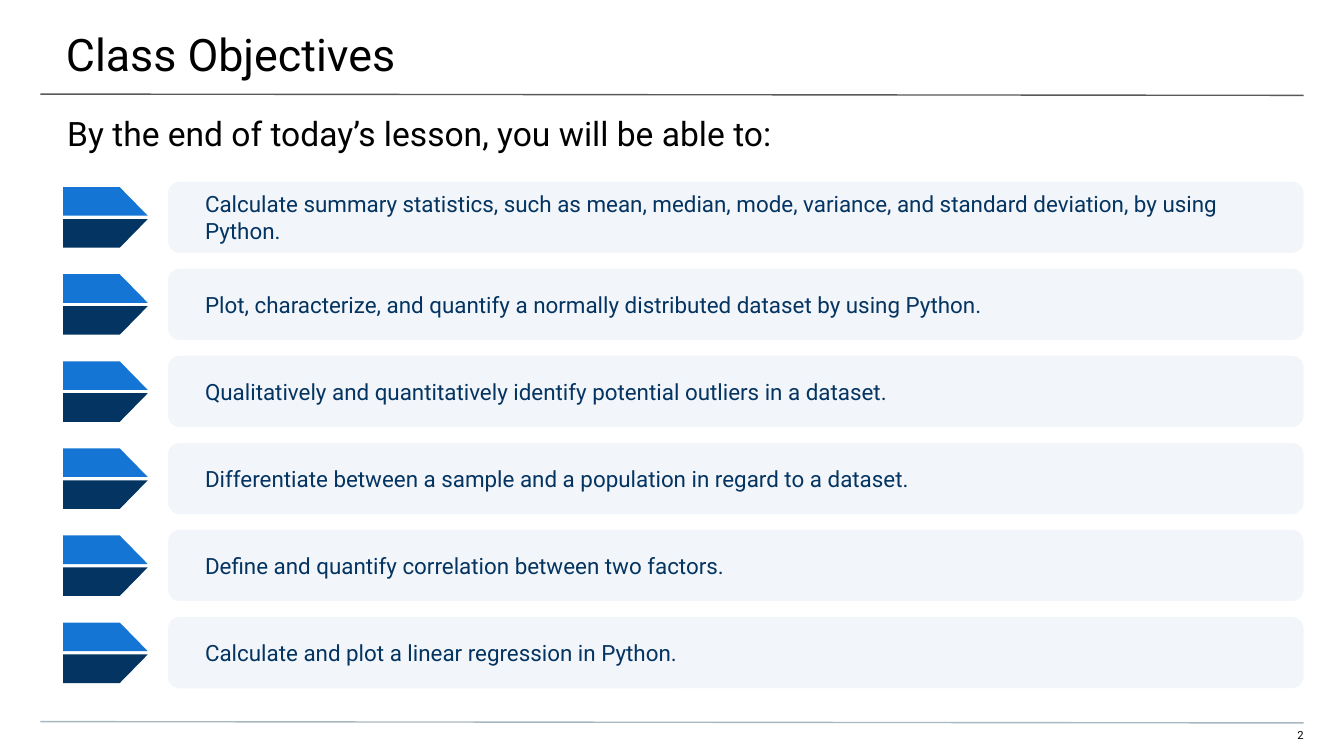
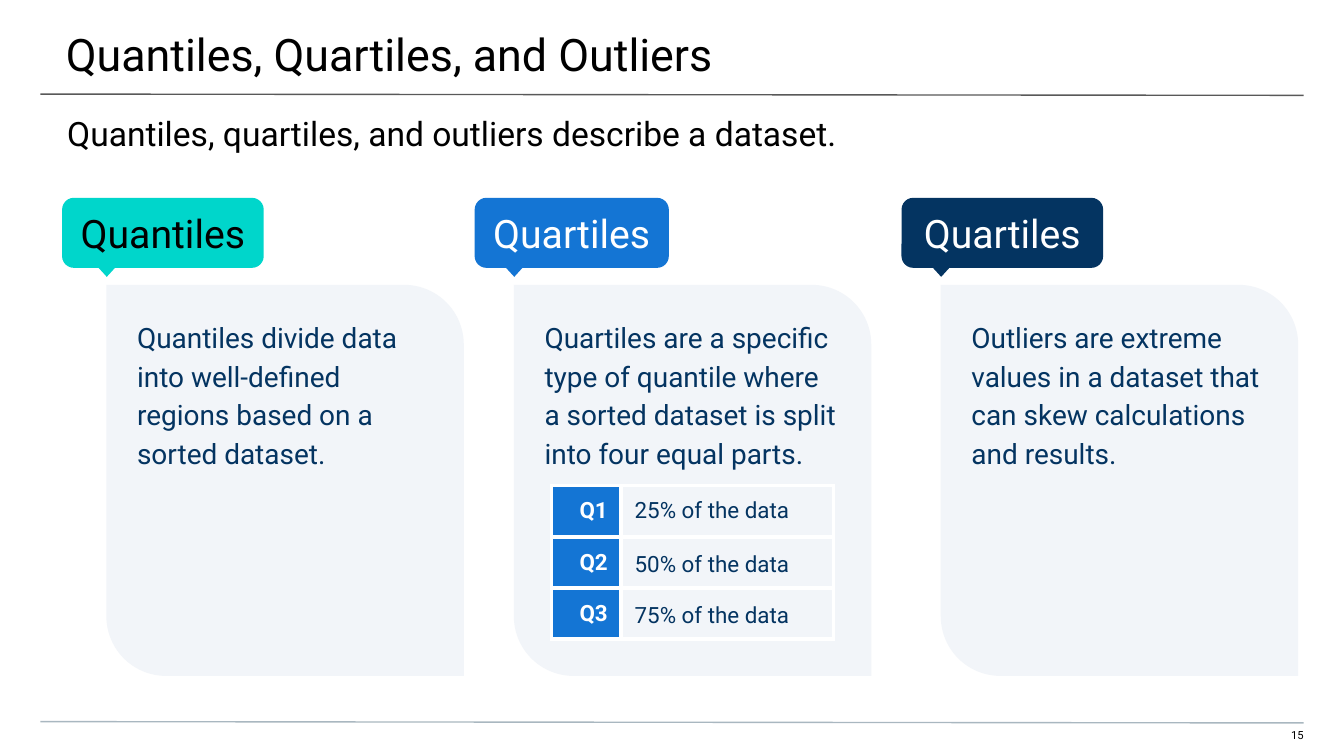
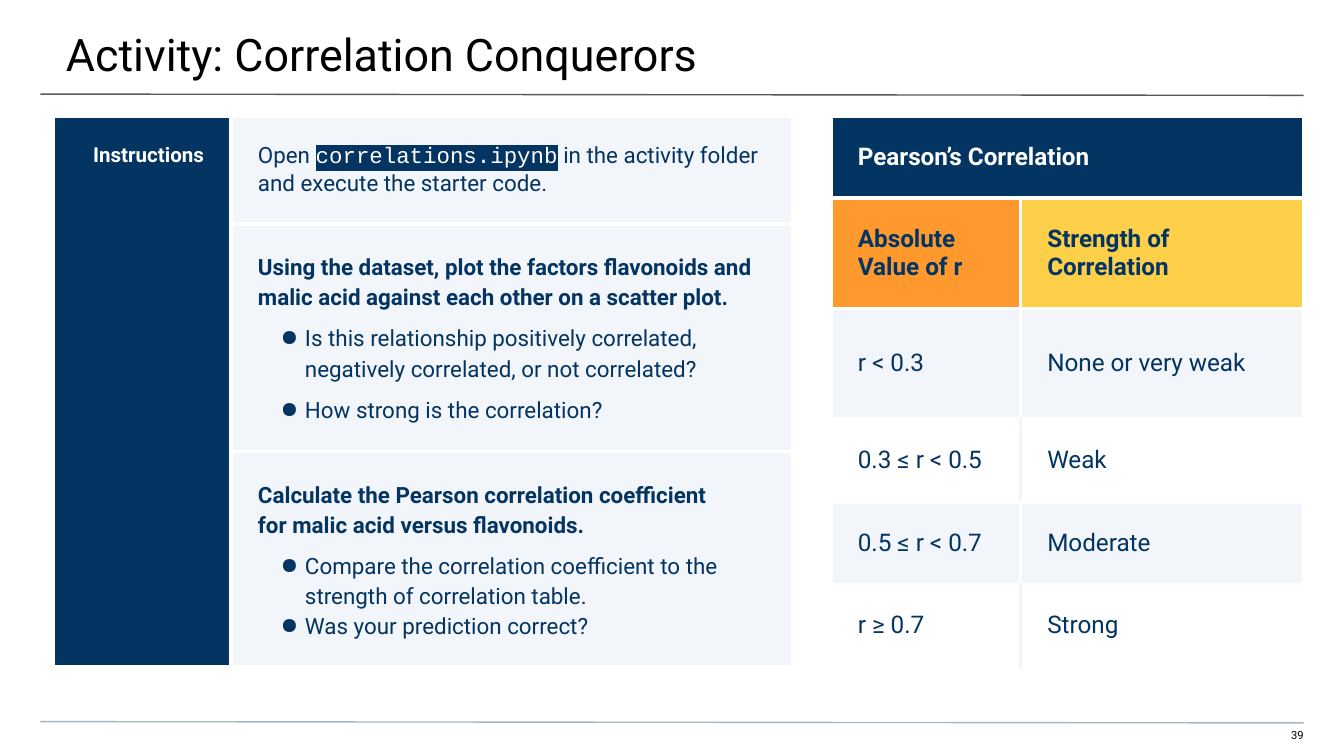
from dataclasses import dataclass, field, replace
from typing import Optional

from lxml.etree import SubElement
from pptx import Presentation
from pptx.dml.color import RGBColor
from pptx.enum.shapes import MSO_CONNECTOR, MSO_SHAPE as SHAPE
from pptx.enum.text import MSO_ANCHOR as ANCHOR, MSO_AUTO_SIZE, PP_ALIGN as ALIGN
from pptx.oxml.ns import qn
from pptx.util import Pt


@dataclass(frozen=True)
class Theme:
    font: str = "Roboto"
    code_font: str = "Courier New"
    black: str = "000000"
    white: str = "FFFFFF"
    navy: str = "043461"
    blue: str = "1475D4"
    teal: str = "00D6CB"
    panel: str = "F2F5F9"
    orange: str = "FF992D"
    yellow: str = "FECF48"
    title_rule: str = "595959"
    footer_rule: str = "A9B7C0"
    title: float = 24
    tag: float = 21
    subtitle: float = 18
    card: float = 15
    grid: float = 13
    text: float = 12
    label: float = 11
    page: float = 6


@dataclass(frozen=True)
class Style:
    size: float
    color: str
    bold: bool = False
    font: str = Theme.font
    highlight: Optional[str] = None


@dataclass
class Para:
    runs: list
    align: ALIGN = ALIGN.LEFT
    spacing: float = 1.0
    before: float = 0
    bullet: Optional[str] = None


@dataclass
class Cell:
    paras: list
    fill: str
    anchor: ANCHOR = ANCHOR.MIDDLE
    edges: dict = field(default_factory=dict)


def para(text, style, **layout):
    return Para([(text, style)], **layout)


def rgb(color):
    return RGBColor.from_string(color)


def add_color(parent, tag, color):
    SubElement(SubElement(parent, qn(tag)), qn("a:srgbClr")).set("val", color)


def set_insets(box, left, top, right, bottom):
    box.margin_left, box.margin_top = Pt(left), Pt(top)
    box.margin_right, box.margin_bottom = Pt(right), Pt(bottom)


class Deck:
    def __init__(self, theme):
        self.theme = theme
        self.prs = Presentation()
        self.prs.slide_width, self.prs.slide_height = Pt(720), Pt(405)
        self.slide = None

    def new_slide(self, title, page, subtitle=None):
        t = self.theme
        layout = self.prs.slide_layouts[0 if subtitle else 5]
        self.slide = self.prs.slides.add_slide(layout)
        self.placeholder(0, (-0.7, 0, 722, 42), (36, 14.4, 21.6, 7.2), title, t.title)
        if subtitle:
            self.placeholder(1, (0, 53.3, 720, 28.8), (36, 7.2, 36, 0), subtitle, t.subtitle)
        self.rule(50.4, t.title_rule)
        self.rule(386.6, t.footer_rule)
        number = self.slide.shapes.add_textbox(Pt(677.5), Pt(390.2), Pt(20.9), Pt(8.6))
        self.set_text(number.text_frame, [para(page, Style(t.page, t.black), align=ALIGN.RIGHT)],
                      (0, 0, 0, 7.2))

    def placeholder(self, index, box, insets, text, size):
        sp = self.slide.placeholders[index]
        sp.left, sp.top, sp.width, sp.height = map(Pt, box)
        self.set_text(sp.text_frame, [para(text, Style(size, self.theme.black))], insets)

    def rule(self, y, color):
        line = self.slide.shapes.add_connector(
            MSO_CONNECTOR.STRAIGHT, Pt(21.6), Pt(y), Pt(698.4), Pt(y + 0.7))
        line.line.color.rgb = rgb(color)
        line.line.width = Pt(0.75)
        SubElement(line._element.spPr, qn("a:effectLst"))

    def set_text(self, tf, paras, insets=(7.2,) * 4, anchor=ANCHOR.TOP):
        tf.word_wrap = True
        tf.auto_size = MSO_AUTO_SIZE.NONE
        tf.vertical_anchor = anchor
        set_insets(tf, *insets)
        self.fill_paras(tf, paras)

    def fill_paras(self, tf, paras):
        for i, item in enumerate(paras):
            p = tf.add_paragraph() if i else tf.paragraphs[0]
            if item.bullet:
                self.bullet(p, item.bullet)
            p.alignment = item.align
            p.line_spacing = item.spacing
            p.space_before = Pt(item.before)
            for text, style in item.runs:
                for n, part in enumerate(text.split("\n")):
                    if n:
                        p.add_line_break()
                    self.run(p, part, style)

    def bullet(self, p, color):
        pPr = p._p.get_or_add_pPr()
        pPr.set("marL", str(Pt(25.2)))
        pPr.set("indent", str(Pt(-13)))
        add_color(pPr, "a:buClr", color)
        SubElement(pPr, qn("a:buChar")).set("char", "●")

    def run(self, p, text, style):
        r = p.add_run()
        r.text = text
        r.font.size = Pt(style.size)
        r.font.bold = style.bold
        r.font.color.rgb = rgb(style.color)
        if style.highlight:
            add_color(r.font._element, "a:highlight", style.highlight)
        r.font.name = style.font

    def paint(self, sp, fill):
        sp.shadow.inherit = False
        sp.fill.solid()
        sp.fill.fore_color.rgb = rgb(fill)
        sp.line.fill.background()

    def shape(self, kind, box, fill, adjust=()):
        sp = self.slide.shapes.add_shape(kind, *map(Pt, box))
        self.paint(sp, fill)
        for i, value in enumerate(adjust):
            sp.adjustments[i] = value
        return sp

    def arrow(self, x, y):
        """Draw a two-tone arrow from an upper half and its mirror image."""
        group = self.slide.shapes.add_group_shape()
        halves = ((y, y + 15.3, self.theme.blue), (y + 32.4, y + 17.1, self.theme.navy))
        for outer, inner, color in halves:
            outline = group.shapes.build_freeform(Pt(x), Pt(outer))
            outline.add_line_segments([(Pt(x), Pt(inner)), (Pt(x + 45.4), Pt(inner)),
                                       (Pt(x + 30.4), Pt(outer))])
            self.paint(outline.convert_to_shape(), color)

    def table(self, x, y, widths, heights, rows, insets, merge=None):
        frame = self.slide.shapes.add_table(
            len(heights), len(widths), Pt(x), Pt(y), Pt(sum(widths)), Pt(sum(heights)))
        tbl = frame.table
        tbl.first_row = tbl.horz_banding = False
        for col, width in zip(tbl.columns, widths):
            col.width = Pt(width)
        for row, height in zip(tbl.rows, heights):
            row.height = Pt(height)
        if merge:
            tbl.cell(0, 0).merge(tbl.cell(*merge))
        for i, row in enumerate(rows):
            for j, item in enumerate(row):
                if item:
                    self.cell(tbl.cell(i, j), item, insets)

    def cell(self, cell, item, insets):
        tcPr = cell._tc.get_or_add_tcPr()
        for side in "LRTB":
            ln = SubElement(tcPr, qn(f"a:ln{side}"))
            ln.set("w", str(Pt(2.25)))
            add_color(ln, "a:solidFill", item.edges.get(side, self.theme.white))
        cell.fill.solid()
        cell.fill.fore_color.rgb = rgb(item.fill)
        cell.vertical_anchor = item.anchor
        set_insets(cell, *insets)
        self.fill_paras(cell.text_frame, item.paras)


def objectives_slide(deck):
    t = deck.theme
    deck.new_slide("Class Objectives", "2",
                   "By the end of today’s lesson, you will be able to:")
    objectives = [
        "Calculate summary statistics, such as mean, median, mode, variance, "
        "and standard deviation, by using Python.",
        "Plot, characterize, and quantify a normally distributed dataset by using Python.",
        "Qualitatively and quantitatively identify potential outliers in a dataset.",
        "Differentiate between a sample and a population in regard to a dataset.",
        "Define and quantify correlation between two factors.",
        "Calculate and plot a linear regression in Python.",
    ]
    for i, text in enumerate(objectives):
        y = 97.3 + i * 46.65
        bar = deck.shape(SHAPE.ROUNDED_RECTANGLE, (90, y, 608.4, 38.2), t.panel, [0.167])
        deck.set_text(bar.text_frame, [para(text, Style(t.text, t.navy))],
                      (18, 7.2, 7.2, 7.2), ANCHOR.MIDDLE)
        deck.arrow(33.8, y + 3)


def quantiles_slide(deck):
    t = deck.theme
    deck.new_slide("Quantiles, Quartiles, and Outliers", "15",
                   "Quantiles, quartiles, and outliers describe a dataset.")
    cards = [
        (57, 33.3, 108, "Quantiles", t.teal, t.black,
         "Quantiles divide data into well-defined regions based on a sorted dataset."),
        (275.3, 254.3, 104, "Quartiles", t.blue, t.white,
         "Quartiles are a specific type of quantile where a sorted dataset "
         "is split into four equal parts."),
        (504, 483, 108, "Quartiles", t.navy, t.white,
         "Outliers are extreme values in a dataset that can skew calculations and results."),
    ]
    for x, tag_x, tag_width, name, fill, color, text in cards:
        card = deck.shape(SHAPE.ROUND_2_DIAG_RECTANGLE, (x, 152.6, 191.5, 209.5),
                          t.panel, [0, 0.167])
        deck.set_text(card.text_frame, [para(text, Style(t.card, t.navy), spacing=1.15)])
        tag = deck.shape(SHAPE.ROUNDED_RECTANGLE, (tag_x, 106, tag_width, 37.5), fill, [0.167])
        deck.set_text(tag.text_frame, [para(name, Style(t.tag, color), align=ALIGN.CENTER)],
                      anchor=ANCHOR.MIDDLE)
        pointer = deck.shape(SHAPE.FLOWCHART_EXTRACT, (x - 10.3, 136.8, 21, 11.5), fill)
        pointer.rotation = 180

    quartiles = [("Q1", "25%", 1.0), ("Q2", "50%", 1.15), ("Q3", "75%", 1.15)]
    rows = [
        [Cell([para(name, Style(t.text, t.white, True), align=ALIGN.RIGHT)], t.blue),
         Cell([para(f"{share} of the data", Style(t.text, t.navy), spacing=spacing)], t.panel)]
        for name, share, spacing in quartiles
    ]
    deck.table(295.4, 260.2, [37.4, 113.8], [27.4] * 3, rows, (7.2, 3.6, 7.2, 3.6))


def activity_slide(deck):
    t = deck.theme
    deck.new_slide("Activity: Correlation Conquerors", "39")
    plain = Style(t.text, t.navy)
    strong = replace(plain, bold=True)
    code = Style(t.text, t.white, font=t.code_font, highlight=t.navy)

    def step(*paras):
        return Cell(list(paras), t.panel, ANCHOR.TOP)

    def lead(text):
        return para(text, strong, spacing=1.15)

    def question(text, before=6):
        return para(text, plain, spacing=1.15, before=before, bullet=t.navy)

    label = para("Instructions", Style(t.label, t.white, True), align=ALIGN.RIGHT)
    opening = Para([("Open ", plain), ("correlations.ipynb", code),
                    (" in the activity folder\nand execute the starter code.", plain)])
    instructions = [
        [Cell([label], t.navy, ANCHOR.TOP), step(opening)],
        [None, step(
            lead("Using the dataset, plot the factors flavonoids and malic acid "
                 "against each other on a scatter plot."),
            question("Is this relationship positively correlated, negatively correlated, "
                     "or not correlated?"),
            question("How strong is the correlation?"))],
        [None, step(
            lead("Calculate the Pearson correlation coefficient\n"
                 "for malic acid versus flavonoids."),
            question("Compare the correlation coefficient to the strength "
                     "of correlation table."),
            question("Was your prediction correct?", before=0))],
    ]
    insets = (14.4,) * 4
    deck.table(28.3, 62.2, [95.5, 301], [57, 122, 115], instructions, insets, merge=(2, 0))

    value = Style(t.grid, t.navy)
    header = replace(value, bold=True)
    strengths = [
        [Cell([para("Pearson’s Correlation", replace(header, color=t.white))], t.navy), None],
        [Cell([para("Absolute\nValue of r", header)], t.orange),
         Cell([para("Strength of Correlation", header)], t.yellow)],
    ]
    levels = [("r < 0.3", "None or very weak"), ("0.3 ≤ r < 0.5", "Weak"),
              ("0.5 ≤ r < 0.7", "Moderate"), ("r ≥ 0.7", "Strong")]
    for i, level in enumerate(levels):
        fill, divider = (t.white, t.panel) if i % 2 else (t.panel, t.white)
        strengths.append([Cell([para(text, value)], fill, edges={side: divider})
                          for text, side in zip(level, "RL")])
    deck.table(445.2, 62.2, [101.5, 151.7], [44, 59, 59, 45, 44, 44], strengths, insets,
               merge=(0, 1))


def main():
    deck = Deck(Theme())
    objectives_slide(deck)
    quantiles_slide(deck)
    activity_slide(deck)
    deck.prs.save("out.pptx")


if __name__ == "__main__":
    main()
